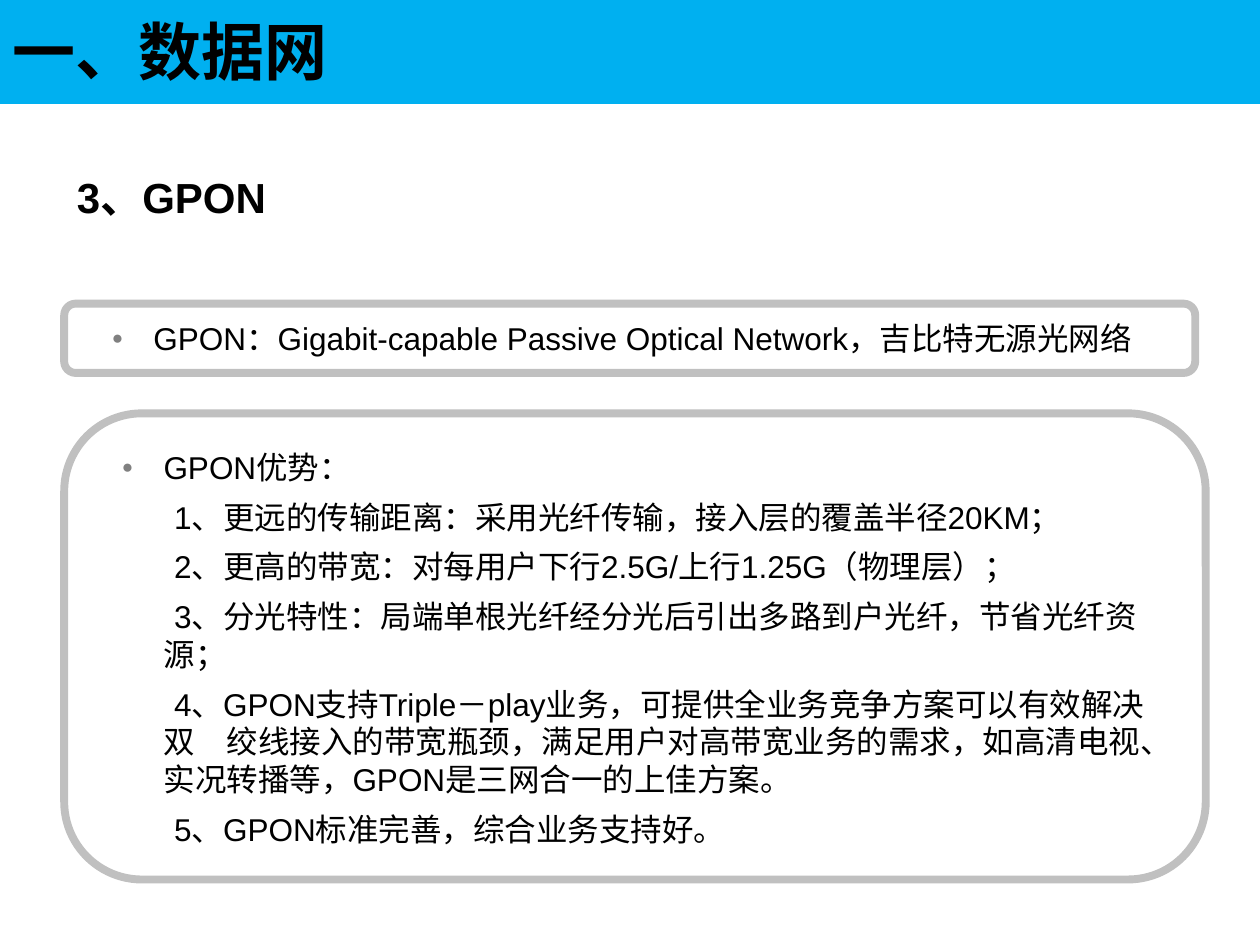
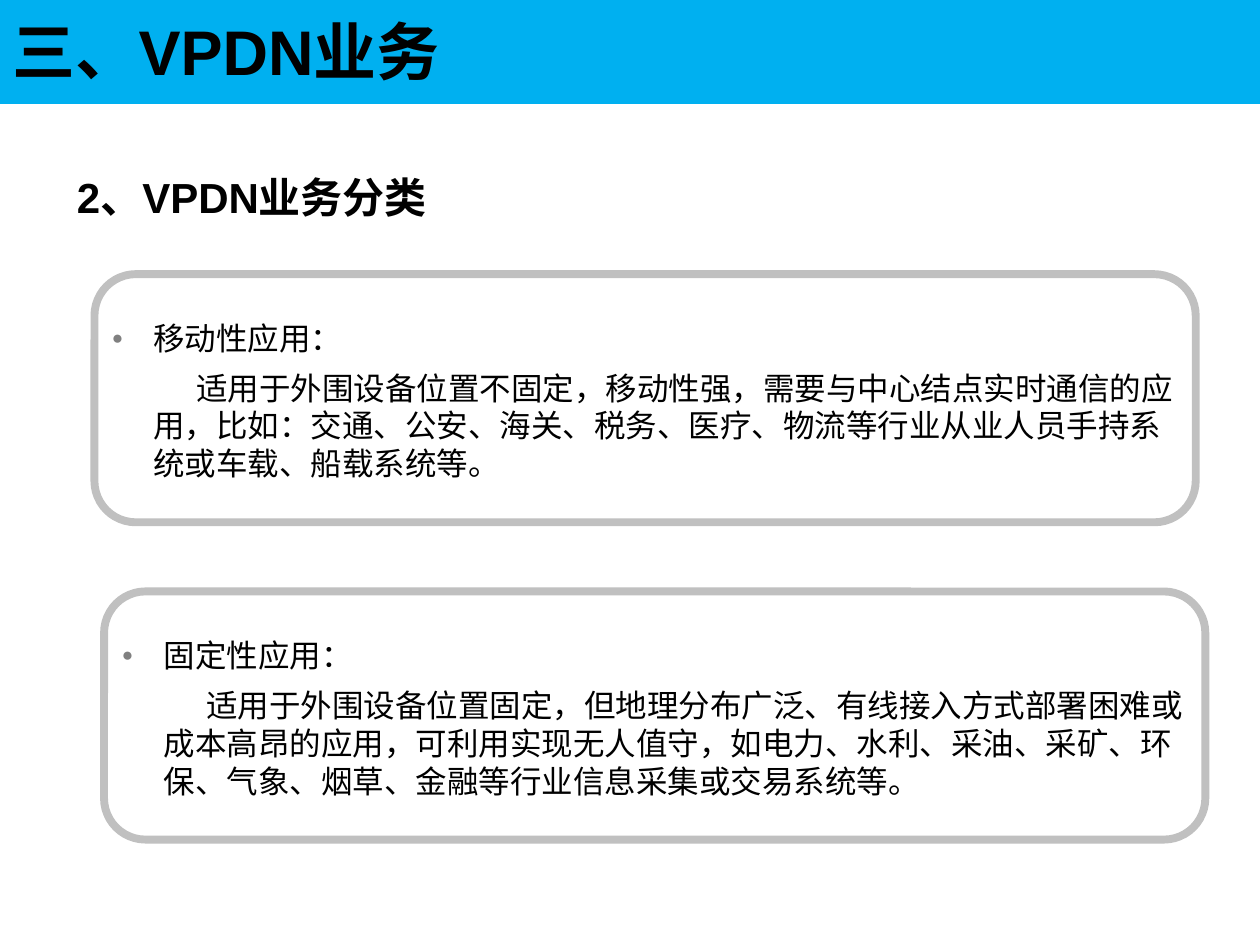
from pptx import Presentation
from pptx.dml.color import RGBColor
from pptx.enum.shapes import MSO_SHAPE as Preset
from pptx.enum.text import MSO_ANCHOR as Anchor, MSO_AUTO_SIZE as AutoSize, PP_ALIGN as Align
from pptx.oxml.ns import qn
from pptx.util import Pt
from lxml.etree import SubElement

COLOURS = {"band": "00B0F0", "frame": "C0C0C0", "paper": "FFFFFF",
           "ink": "000000", "bullet": "808080"}
FONT = "Arial"
HANGING = 23.76
TWO_CONTENT_LAYOUT = 3

SLIDES = [
    {
        "title": "一、数据网",
        "heading": "3、GPON",
        "panels": [
            {"frame": (36.7, 173.5, 646.3, 39.6), "text": (57.4, 179.3, 619.9, 102.2),
             "lead": "GPON：Gigabit-capable Passive Optical Network，吉比特无源光网络",
             "details": [], "first_indent": 0},
            {"frame": (36.7, 236.2, 652.3, 266.4), "text": (63.2, 253.1, 619.9, 238.3),
             "lead": "GPON优势：",
             "details": [
                 "1、更远的传输距离：采用光纤传输，接入层的覆盖半径20KM；",
                 "2、更高的带宽：对每用户下行2.5G/上行1.25G（物理层）；",
                 "3、分光特性：局端单根光纤经分光后引出多路到户光纤，节省光纤资源；",
                 "4、GPON支持Triple－play业务，可提供全业务竞争方案可以有效解决双　"
                 "绞线接入的带宽瓶颈，满足用户对高带宽业务的需求，如高清电视、实况转播等，"
                 "GPON是三网合一的上佳方案。",
                 "5、GPON标准完善，综合业务支持好。"],
             "first_indent": 6},
        ],
    },
    {
        "title": "三、VPDN业务",
        "heading": "2、VPDN业务分类",
        "panels": [
            {"frame": (54, 156.7, 629.3, 141.8), "text": (57.4, 179.3, 619.9, 102.2),
             "lead": "移动性应用：",
             "details": [
                 "适用于外围设备位置不固定，移动性强，需要与中心结点实时通信的应用，比如：交通、"
                 "公安、海关、税务、医疗、物流等行业从业人员手持系统或车载、船载系统等。"],
             "first_indent": 24.5},
            {"frame": (59.5, 338, 629.3, 141.8), "text": (63.2, 360.7, 619.9, 102.2),
             "lead": "固定性应用：",
             "details": [
                 "适用于外围设备位置固定，但地理分布广泛、有线接入方式部署困难或成本高昂的应用，"
                 "可利用实现无人值守，如电力、水利、采油、采矿、环保、气象、烟草、金融等行业"
                 "信息采集或交易系统等。"],
             "first_indent": 24.5},
        ],
    },
]


def colour(name):
    return RGBColor.from_string(COLOURS[name])


def place(box, rect):
    box.left, box.top, box.width, box.height = (Pt(value) for value in rect)


def add_panel_behind(page, text_box, preset, rect, fill, line, line_width):
    """Draw a filled shape directly below text_box in the stacking order."""
    panel = page.shapes.add_shape(preset, *(Pt(value) for value in rect))
    panel.shadow.inherit = False
    panel.fill.solid()
    panel.fill.fore_color.rgb = colour(fill)
    panel.line.color.rgb = colour(line)
    panel.line.width = Pt(line_width)
    text_box.element.addprevious(panel.element)


def prepare_frame(box, margin_x=7.2, margin_y=3.6):
    frame = box.text_frame
    frame.word_wrap = True
    frame.auto_size = AutoSize.NONE
    frame.vertical_anchor = Anchor.TOP
    frame.margin_left = frame.margin_right = Pt(margin_x)
    frame.margin_top = frame.margin_bottom = Pt(margin_y)
    return frame


def add_span(para, text, size, bold=False):
    para.alignment = Align.LEFT
    span = para.add_run()
    span.text = text
    span.font.name = FONT
    span.font.size = Pt(size)
    span.font.bold = bold
    span.font.color.rgb = colour("ink")


def set_list_format(para, first_indent, bulleted):
    """Set indents and bullet, and keep punctuation inside the right margin."""
    properties = para._p.get_or_add_pPr()
    properties.set("marL", str(Pt(HANGING)))
    properties.set("indent", str(Pt(first_indent)))
    properties.set("hangingPunct", "0")
    if bulleted:
        bullet_colour = SubElement(properties, qn("a:buClr"))
        SubElement(bullet_colour, qn("a:srgbClr"), val=COLOURS["bullet"])
        SubElement(properties, qn("a:buSzPct"), val="60000")
        SubElement(properties, qn("a:buFont"), typeface=FONT)
        SubElement(properties, qn("a:buChar"), char="●")
    else:
        SubElement(properties, qn("a:buNone"))


def add_title(page, text):
    title = page.shapes.title
    place(title, (0, 3.6, 592.6, 50.4))
    add_span(prepare_frame(title).paragraphs[0], text, 36, bold=True)
    add_panel_behind(page, title, Preset.RECTANGLE, (-0.7, 0, 720.7, 58.3),
                     "band", "band", 2)


def add_heading(page, text):
    box = page.shapes.add_textbox(Pt(36.9), Pt(94.3), Pt(612), Pt(51.1))
    add_span(prepare_frame(box).paragraphs[0], text, 24, bold=True)


def fill_list(page, body, panel):
    """Put one bulleted lead and its indented details in a rounded frame."""
    place(body, panel["text"])
    frame = prepare_frame(body, 6.5, 2.9)
    for index, text in enumerate([panel["lead"], *panel["details"]]):
        is_lead = index == 0
        para = frame.paragraphs[0] if is_lead else frame.add_paragraph()
        set_list_format(para, -HANGING if is_lead else panel["first_indent"], is_lead)
        para.space_before = Pt(0 if is_lead else 6.8)
        add_span(para, text, 18)
    add_panel_behind(page, body, Preset.ROUNDED_RECTANGLE, panel["frame"],
                     "paper", "frame", 4.5)


def main():
    deck = Presentation()
    deck.slide_width, deck.slide_height = Pt(720), Pt(540)
    for content in SLIDES:
        page = deck.slides.add_slide(deck.slide_layouts[TWO_CONTENT_LAYOUT])
        add_title(page, content["title"])
        add_heading(page, content["heading"])
        for index, panel in enumerate(content["panels"], start=1):
            fill_list(page, page.placeholders[index], panel)
    deck.save("out.pptx")


if __name__ == "__main__":
    main()
